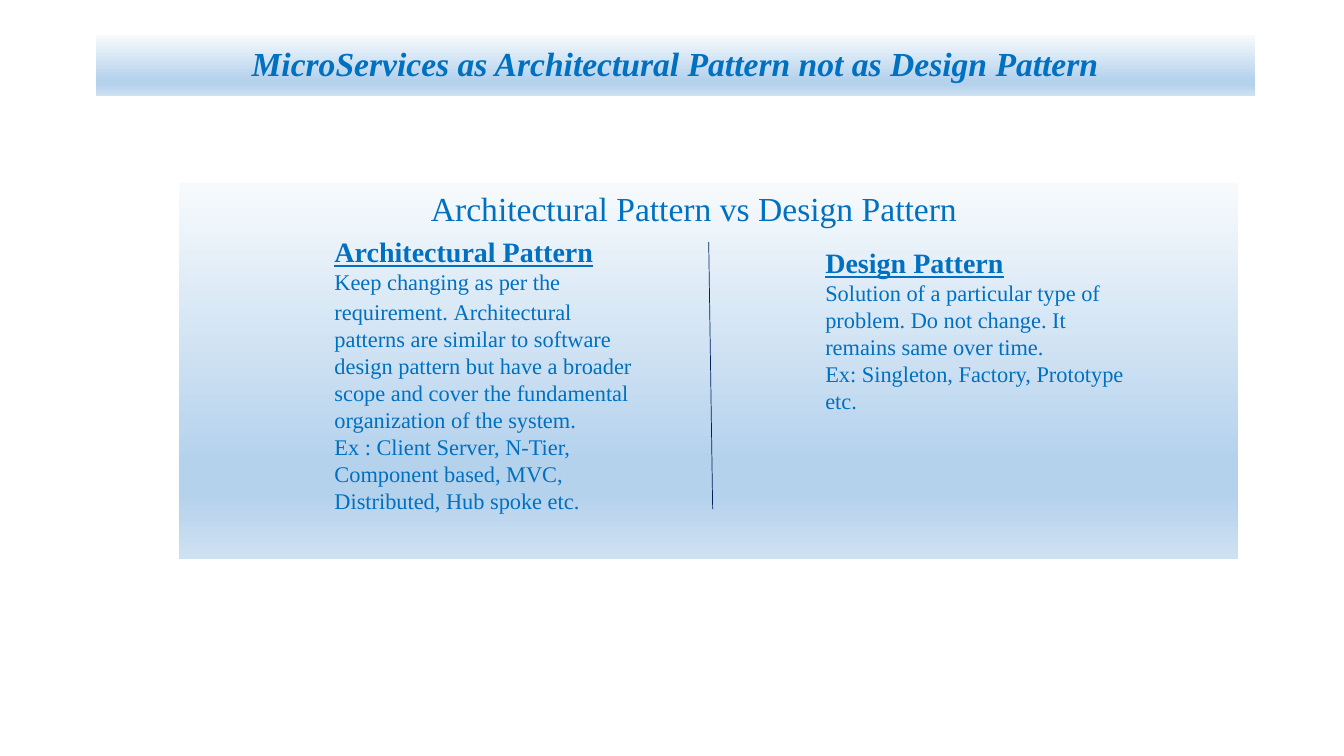
import copy
from dataclasses import dataclass

import pptx
import pptx.dml.color
import pptx.enum.shapes
import pptx.enum.text
import pptx.oxml.ns
import pptx.util
from pptx.util import Cm


@dataclass(frozen=True)
class Theme:
    font: str = "Times New Roman"
    gap_font: str = "Calibri"
    ink: str = "0070C0"
    gap_ink: str = "000000"
    divider: str = "002060"
    gradient: tuple = ((0, "F7FAFD"), (74, "B5D2EC"), (83, "B5D2EC"), (100, "CEE1F2"))
    title_size: int = 24
    heading_size: int = 20
    gap_size: int = 18
    body_size: int = 16


THEME = Theme()
ALIGN = pptx.enum.text.PP_ALIGN
ANCHOR = pptx.enum.text.MSO_ANCHOR


def rgb(value):
    return pptx.dml.color.RGBColor.from_string(value)


def write(paragraph, text, size=THEME.body_size, font=THEME.font, color=THEME.ink,
          bold=False, italic=False, underline=False):
    run = paragraph.add_run()
    run.text = text
    run.font.size = pptx.util.Pt(size)
    run.font.name = font
    run.font.color.rgb = rgb(color)
    run.font.bold = bold
    run.font.italic = italic
    run.font.underline = underline


def add_band(slide, box, anchor, align):
    band = slide.shapes.add_shape(
        pptx.enum.shapes.MSO_SHAPE.RECTANGLE, *map(Cm, box))
    band.shadow.inherit = False
    band.line.fill.background()
    band.fill.gradient()
    band.fill.gradient_angle = 270
    stops = band.fill._fill._gradFill.gsLst
    while len(stops) < len(THEME.gradient):
        stops.append(copy.deepcopy(stops[-1]))
    for stop, (position, color) in zip(band.fill.gradient_stops, THEME.gradient):
        stop.position = position / 100
        stop.color.rgb = rgb(color)
    band.text_frame.word_wrap = True
    band.text_frame.vertical_anchor = anchor
    band.text_frame.paragraphs[0].alignment = align
    return band.text_frame


def add_title(slide, box):
    title = add_band(slide, box, ANCHOR.MIDDLE, ALIGN.CENTER).paragraphs[0]
    title.line_spacing = 0.9
    write(title, "MicroServices as Architectural Pattern not as Design Pattern",
          size=THEME.title_size, bold=True, italic=True)


def add_pattern(slide, box, heading, paragraphs):
    pattern = slide.shapes.add_textbox(*map(Cm, box)).text_frame
    pattern.word_wrap = True
    write(pattern.paragraphs[0], heading, size=THEME.heading_size,
          bold=True, underline=True)
    for sentences in paragraphs:
        paragraph = pattern.add_paragraph()
        for index, sentence in enumerate(sentences):
            if index:
                write(paragraph, " ", size=THEME.gap_size, font=THEME.gap_font,
                      color=THEME.gap_ink)
            write(paragraph, sentence)


def add_divider(slide, start, end):
    divider = slide.shapes.add_connector(
        pptx.enum.shapes.MSO_CONNECTOR.STRAIGHT, *map(Cm, start + end))
    divider.line.color.rgb = rgb(THEME.divider)
    divider.line.width = pptx.util.Pt(0.5)
    divider._element.spPr.append(pptx.oxml.parse_xml(
        "<a:effectLst %s/>" % pptx.oxml.ns.nsdecls("a")))


def add_comparison(slide, box, patterns):
    left, top = box[:2]
    comparison = add_band(slide, box, ANCHOR.TOP, ALIGN.LEFT)
    comparison.margin_left = Cm(6.34)
    write(comparison.paragraphs[0], "Architectural Pattern vs Design Pattern",
          size=THEME.title_size)
    for (x, y, height), heading, paragraphs in patterns:
        add_pattern(slide, (left + x, top + y, 8.33, height), heading, paragraphs)
    add_divider(slide, (left + 13.34, top + 1.5), (left + 13.44, top + 8.23))


PATTERNS = (
    ((3.66, 1.19, 8.13), "Architectural Pattern", (
        ("Keep changing as per the requirement.",
         "Architectural patterns are similar to\u00a0software design pattern\u00a0but "
         "have a broader scope and cover the fundamental organization of the system."),
        ("Ex : Client Server, N-Tier, Component based, MVC, Distributed, "
         "Hub spoke etc.",),
    )),
    ((16.03, 1.47, 5.31), "Design Pattern", (
        ("Solution of a particular type of problem. Do not change. "
         "It remains same over time.",),
        ("Ex: Singleton, Factory, Prototype etc.",),
    )),
)

deck = pptx.Presentation()
deck.slide_width, deck.slide_height = Cm(33.87), Cm(19.05)
slide = deck.slides.add_slide(deck.slide_layouts[6])
add_title(slide, (2.41, 0.89, 29.21, 1.52))
add_comparison(slide, (4.52, 4.6, 26.67, 9.5), PATTERNS)
deck.save("out.pptx")
